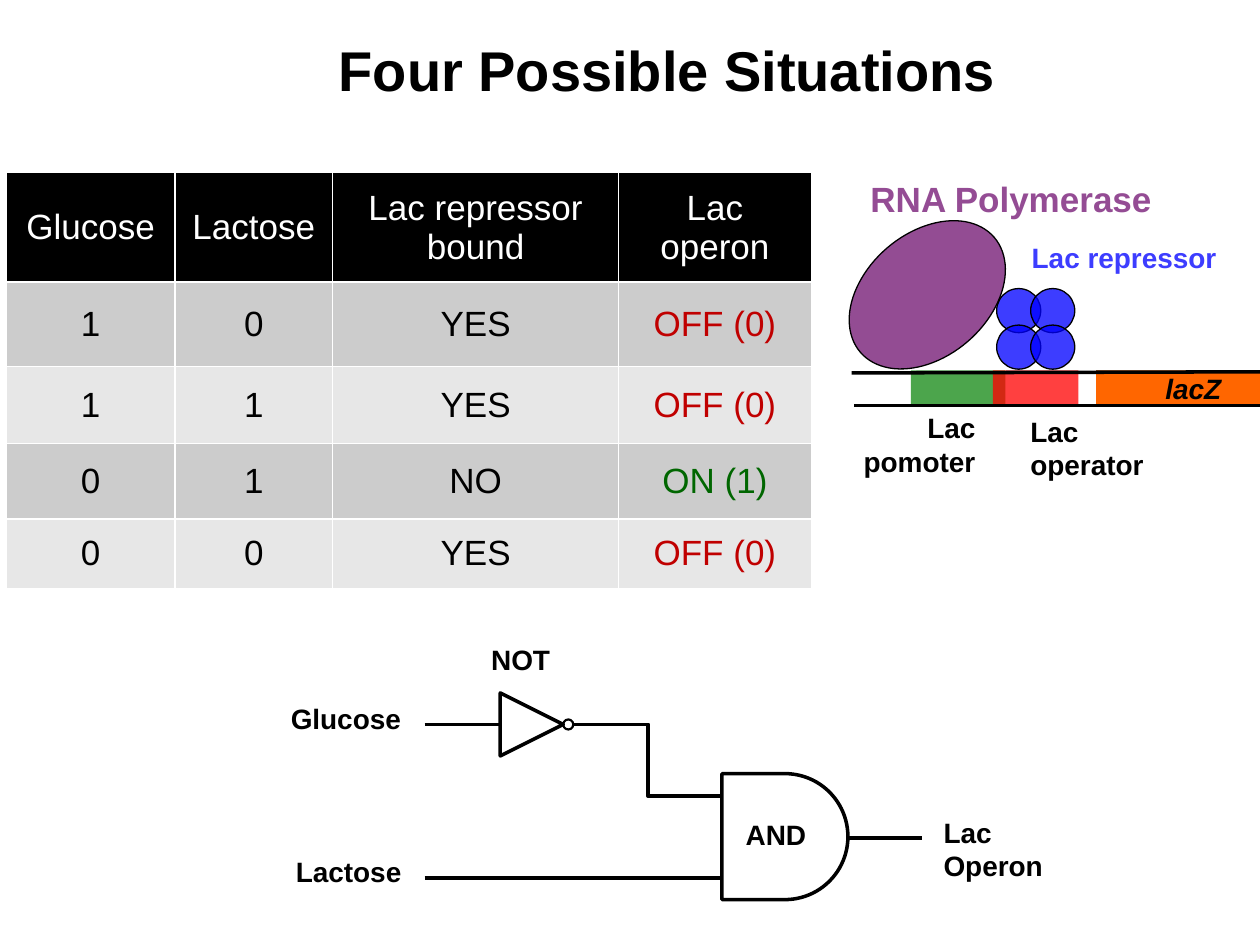
from lxml.etree import SubElement
from pptx import Presentation
from pptx.dml.color import RGBColor
from pptx.enum.shapes import MSO_CONNECTOR as CONN, MSO_SHAPE as SHP
from pptx.enum.text import MSO_ANCHOR, MSO_AUTO_SIZE, PP_ALIGN
from pptx.oxml.ns import qn
from pptx.util import Inches, Pt

BLACK, WHITE, RED, GREEN = "000000", "FFFFFF", "C00000", "006600"
BANDS = ("CCCCCC", "E7E7E7")


def rgb(value):
    return RGBColor.from_string(value)


class Slide:
    """Holds the text style and the slide being built."""

    def __init__(self, prs):
        self.s = prs.slides.add_slide(prs.slide_layouts[6])
        self.style = {"name": "Arial", "size": 16, "bold": True, "color": BLACK}

    def font(self, r, **changes):
        fmt = {**self.style, **changes}
        r.font.color.rgb = rgb(fmt.pop("color"))
        fmt["size"] = Pt(fmt["size"])
        for key, value in fmt.items():
            setattr(r.font, key, value)

    def text(self, content, x, y, w, h=0.4, wrap=False, align=None, **changes):
        tf = self.s.shapes.add_textbox(*map(Inches, (x, y, w, h))).text_frame
        tf.word_wrap, tf.auto_size = wrap, MSO_AUTO_SIZE.SHAPE_TO_FIT_TEXT
        p = tf.paragraphs[0]
        p.alignment = align
        r = p.add_run()
        r.text = content
        self.font(r, **changes)

    def shape(self, kind, x, y, w, h, fill=None, alpha=None, line=None, rot=0):
        sp = self.s.shapes.add_shape(kind, *map(Inches, (x, y, w, h)))
        sp.shadow.inherit = False
        sp.rotation = rot
        if fill:
            sp.fill.solid()
            sp.fill.fore_color.rgb = rgb(fill)
        else:
            sp.fill.background()
        if alpha:
            color = sp.fill._xPr.find(".//" + qn("a:srgbClr"))
            SubElement(color, qn("a:alpha"), val=str(alpha * 1000))
        if line:
            sp.line.color.rgb, sp.line.width = rgb(BLACK), Pt(line)
        else:
            sp.line.fill.background()

    def wire(self, x1, y1, x2, y2, kind=CONN.STRAIGHT):
        c = self.s.shapes.add_connector(kind, *map(Inches, (x1, y1, x2, y2)))
        c.line.color.rgb, c.line.width = rgb(BLACK), Pt(2)
        SubElement(c._element.spPr, qn("a:effectLst"))

    def cell(self, cell, content, fill, color):
        cell.fill.solid()
        cell.fill.fore_color.rgb = rgb(fill)
        for key, value in {"margin_left": Inches(0.08), "margin_right": Inches(0.08),
                           "margin_top": 0, "margin_bottom": 0,
                           "vertical_anchor": MSO_ANCHOR.MIDDLE}.items():
            setattr(cell, key, value)
        p = cell.text_frame.paragraphs[0]
        p.alignment = PP_ALIGN.CENTER
        r = p.add_run()
        r.text = content
        self.font(r, size=20, bold=False, color=color)
        tcPr = cell._tc.get_or_add_tcPr()
        for i, side in enumerate(("lnL", "lnR", "lnT", "lnB")):
            ln = SubElement(tcPr, qn("a:" + side), w=str(Pt(1)))
            SubElement(SubElement(ln, qn("a:solidFill")), qn("a:srgbClr"), val=WHITE)
            tcPr.remove(ln)
            tcPr.insert(i, ln)  # borders come before the fill

    def table(self, x, y, cols, rows, data):
        frame = self.s.shapes.add_table(len(rows), len(cols), *map(
            Inches, (x, y, sum(cols), sum(rows))))
        t = frame.table
        t.first_row = t.horz_banding = False
        for col, w in zip(t.columns, cols):
            col.width = Inches(w)
        for i, (row, h) in enumerate(zip(t.rows, rows)):
            row.height = Inches(h)
            for cell, content in zip(row.cells, data[i]):
                fill, color = (BANDS[(i - 1) % 2], BLACK) if i else (BLACK, WHITE)
                if content.startswith("OFF"):
                    color = RED
                elif content.startswith("ON"):
                    color = GREEN
                self.cell(cell, content, fill, color)


def logic_circuit(s):
    s.shape(SHP.FLOWCHART_DELAY, 5.73, 6.14, 1, 1, line=2)
    s.wire(3.37, 6.97, 5.72, 6.97)
    s.wire(6.73, 6.65, 7.32, 6.65)
    s.text("Lactose", 2.25, 6.73, 1.16)
    s.text("Glucose", 2.21, 5.52, 1.2)
    s.text("Lac Operon", 7.39, 6.42, 1.21, 0.64, wrap=True)
    s.text("AND", 5.82, 6.44, 0.73)
    s.wire(5.73, 6.32, 4.56, 5.75, CONN.ELBOW)
    s.shape(SHP.ISOSCELES_TRIANGLE, 3.97, 5.5, 0.5, 0.5, line=2, rot=90)
    s.shape(SHP.OVAL, 4.47, 5.71, 0.08, 0.08, line=1.25)
    s.wire(3.37, 5.75, 3.97, 5.75)
    s.text("NOT", 3.8, 5.05, 0.73)


def operon_diagram(s):
    s.shape(SHP.RECTANGLE, 7.23, 2.94, 0.75, 0.27, "008000", 70)
    s.shape(SHP.RECTANGLE, 7.88, 2.94, 0.68, 0.27, "FF0000", 75)
    s.text("Lac operator", 8.08, 3.24, 1.26, 0.64, wrap=True)
    for y in (2.29, 2.58):
        for x in (7.91, 8.18):
            s.shape(SHP.OVAL, x, y, 0.35, 0.35, "0000FF", 76, 0.75)
    s.text("Lac repressor", 8.09, 1.86, 1.87, color="3D3DFF")
    s.shape(SHP.RECTANGLE, 8.7, 2.94, 2.36, 0.27, "FF6600")
    s.text("lacZ", 9.15, 2.9, 0.71, italic=True)
    s.wire(6.76, 2.96, 13.98, 2.94)
    s.wire(6.78, 3.22, 13.98, 3.22)
    s.shape(SHP.OVAL, 6.66, 1.85, 1.4, 0.98, "660066", 70, 0.75, rot=319.4)
    s.text("RNA Polymerase", 6.81, 1.36, 2.45, 0.44, size=20, color="944C94")
    s.text("Lac pomoter", 6.58, 3.21, 1.26, 0.64, wrap=True, align=PP_ALIGN.RIGHT)


def main():
    prs = Presentation()
    prs.slide_width, prs.slide_height = Inches(10), Inches(7.5)
    s = Slide(prs)
    logic_circuit(s)
    s.table(0.05, 1.37, (1.34, 1.25, 2.27, 1.53), (0.87, 0.67, 0.61, 0.6, 0.55), (
        ("Glucose", "Lactose", "Lac repressor bound", "Lac operon"),
        ("1", "0", "YES", "OFF (0)"),
        ("1", "1", "YES", "OFF (0)"),
        ("0", "1", "NO", "ON (1)"),
        ("0", "0", "YES", "OFF (0)"),
    ))
    s.text("Four Possible Situations", 2.59, 0.23, 5.45, 0.64, size=32)
    operon_diagram(s)
    prs.save("out.pptx")


if __name__ == "__main__":
    main()
